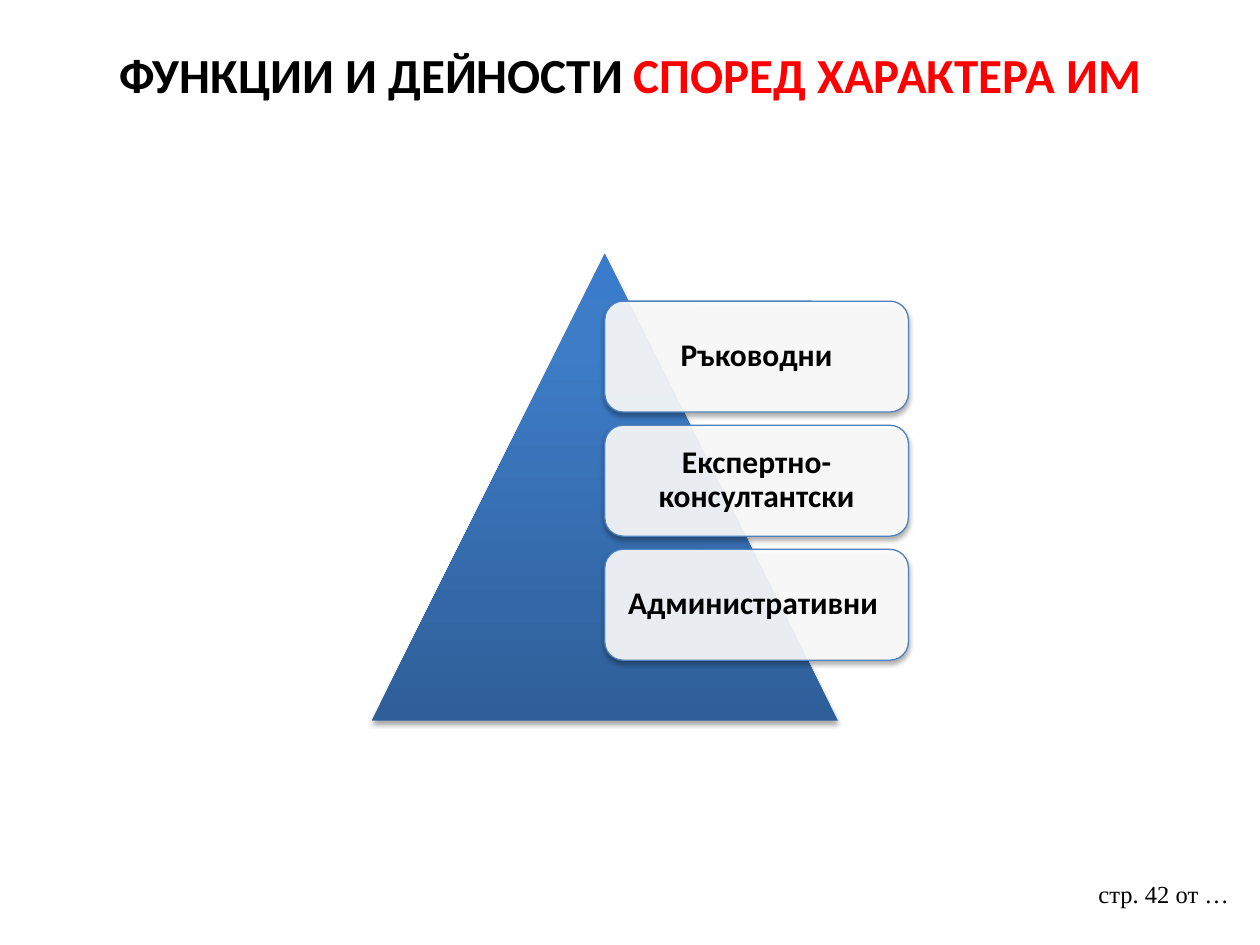
from pptx import Presentation
from pptx.dml.color import RGBColor as RGB
from pptx.enum.shapes import MSO_SHAPE as Shape
from pptx.enum.text import MSO_ANCHOR as Anchor, PP_ALIGN as Align
from pptx.oxml import parse_xml
from pptx.oxml.ns import nsdecls, qn
from pptx.util import Inches, Pt

# Content
TITLE = [("ФУНКЦИИ И ДЕЙНОСТИ ", "ink"), ("СПОРЕД ХАРАКТЕРА ИМ", "red")]
LEVELS = ["Ръководни", "Експертно-консултантски", "Административни "]
PAGE = "стр. 42 от …"

THEME = {
    "ink": "000000", "red": "FF0000", "card": "FFFFFF", "edge": "4F81BD",
    "slope": [(0, "2F5F99"), (80, "3D7CC7"), (100, "3A7CCB")],
    "sans": "Calibri", "serif": "Times New Roman",
    "title": 28, "level": 18, "page": 14,
}

# Layout in inches: the cards start on the axis of the triangle
SIDE, LEFT, TOP = 3.7, 2.95, 2.02
CARD_X, CARD_Y = LEFT + SIDE / 2, 2.39
CARD_W, CARD_H, STEP = 2.41, 0.88, 0.985


def color(name):
    return RGB.from_string(THEME[name])


def style(run, size, face="sans", tint="ink", bold=True):
    font = run.font
    font.size, font.name, font.bold = Pt(THEME[size]), THEME[face], bold
    font.color.rgb = color(tint)


def add_text(slide, *box):
    frame = slide.shapes.add_textbox(*map(Inches, box)).text_frame
    frame.word_wrap = True
    return frame


def add_shape(slide, kind, *box):
    """Add a preset shape with a soft shadow below it."""
    shape = slide.shapes.add_shape(kind, *map(Inches, box))
    shape.shadow.inherit = False
    shape._element.spPr.find(qn("a:effectLst")).append(parse_xml(
        f'<a:outerShdw {nsdecls("a")} blurRad="{Pt(3.1)}" dist="{Pt(1.8)}" '
        'dir="5400000" rotWithShape="0"><a:srgbClr val="000000">'
        '<a:alpha val="35000"/></a:srgbClr></a:outerShdw>'))
    return shape


def add_peak(slide):
    peak = add_shape(slide, Shape.ISOSCELES_TRIANGLE, LEFT, TOP, SIDE, SIDE)
    peak.line.fill.background()
    peak.fill.gradient()
    peak.fill.gradient_angle = 90
    stops = "".join(
        f'<a:gs pos="{pos * 1000}"><a:srgbClr val="{tint}"/></a:gs>'
        for pos, tint in THEME["slope"])
    grad = peak._element.spPr.find(qn("a:gradFill"))
    grad.replace(grad.find(qn("a:gsLst")), parse_xml(
        f'<a:gsLst {nsdecls("a")}>{stops}</a:gsLst>'))


def add_card(slide, row, text):
    card = add_shape(slide, Shape.ROUNDED_RECTANGLE,
                     CARD_X, CARD_Y + row * STEP, CARD_W, CARD_H)
    card.fill.solid()
    card.fill.fore_color.rgb = color("card")
    tint = card._element.spPr.find(qn("a:solidFill"))[0]
    tint.append(parse_xml(f'<a:alpha {nsdecls("a")} val="90000"/>'))
    card.line.color.rgb, card.line.width = color("edge"), Pt(0.75)

    frame = card.text_frame
    frame.word_wrap, frame.vertical_anchor = True, Anchor.MIDDLE
    frame.margin_left = frame.margin_right = Inches(0.07)
    frame.margin_top = frame.margin_bottom = Inches(0.07)
    frame.text = text
    para = frame.paragraphs[0]
    para.alignment, para.line_spacing = Align.CENTER, 0.9
    style(para.runs[0], "level")


def main():
    deck = Presentation()
    deck.slide_width, deck.slide_height = Inches(10), Inches(7.5)
    slide = deck.slides.add_slide(deck.slide_layouts[6])

    # Page mark
    frame = add_text(slide, 8.62, 6.93, 1.3, 0.52)
    frame.text = PAGE
    style(frame.paragraphs[0].runs[0], "page", "serif", bold=False)

    # Title
    para = add_text(slide, 0.5, 0.3, 9, 1.25).paragraphs[0]
    para.alignment = Align.CENTER
    for text, tint in TITLE:
        run = para.add_run()
        run.text = text
        style(run, "title", tint=tint)

    # Pyramid with its levels
    add_peak(slide)
    for row, text in enumerate(LEVELS):
        add_card(slide, row, text)

    deck.save("out.pptx")


if __name__ == "__main__":
    main()
